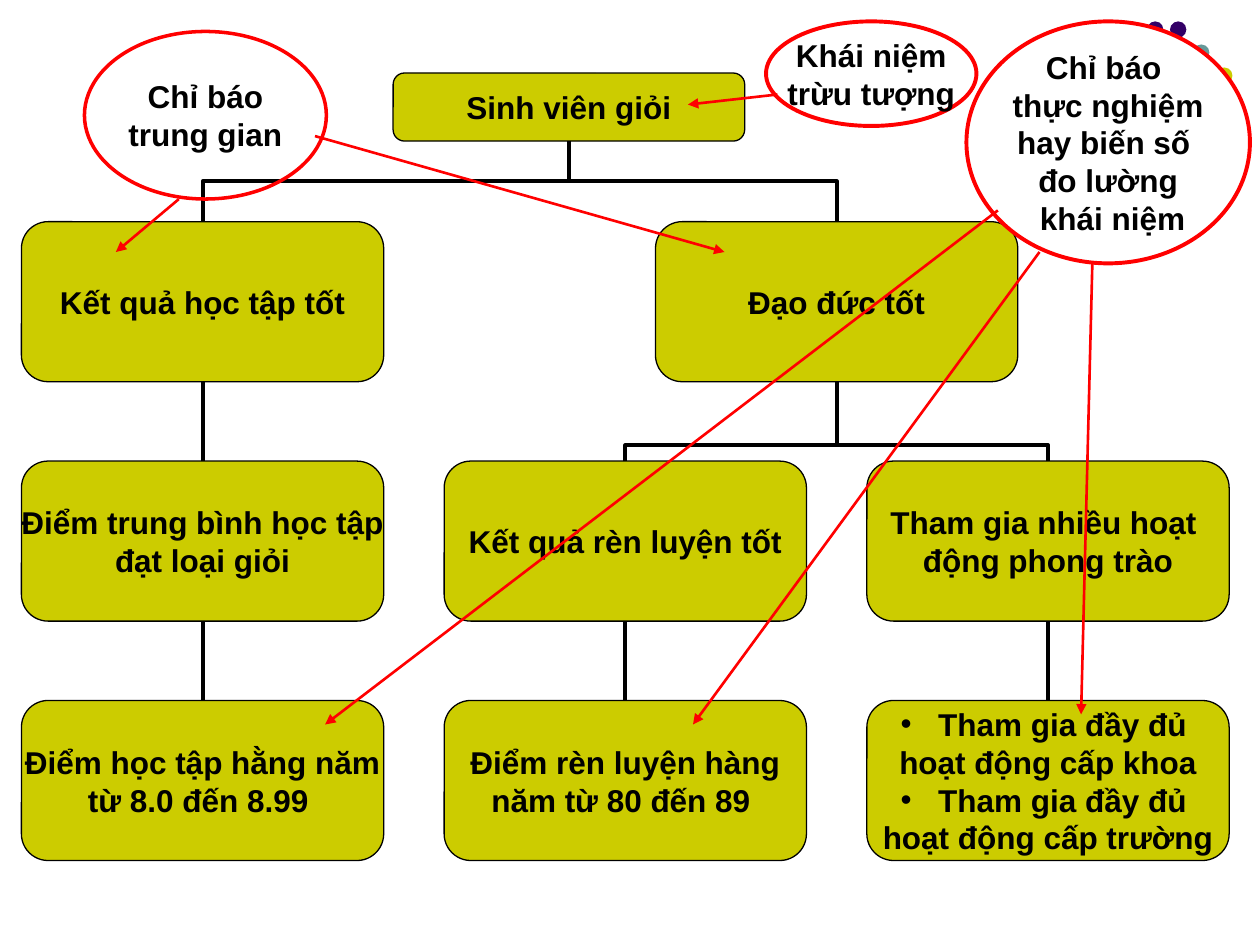
from lxml.etree import SubElement
from pptx import Presentation
from pptx.dml.color import RGBColor
from pptx.enum.shapes import MSO_CONNECTOR, MSO_SHAPE
from pptx.enum.text import MSO_ANCHOR, PP_ALIGN
from pptx.oxml.ns import qn
from pptx.util import Inches, Pt

BLACK = RGBColor(0x00, 0x00, 0x00)
WHITE = RGBColor(0xFF, 0xFF, 0xFF)
RED = RGBColor(0xFF, 0x00, 0x00)
OLIVE = RGBColor(0xCC, 0xCC, 0x00)
PURPLE = RGBColor(0x33, 0x00, 0x66)
TEAL = RGBColor(0x66, 0x99, 0x99)
LAVENDER = RGBColor(0xD8, 0xD8, 0xEC)
FONT = {"name": "Arial", "size": Pt(18), "bold": True}

# Grid of boxes, in inches
LEFT, COLUMN_STEP, BOX_WIDTH = 0.17, 3.355, 2.875
TOP, ROW_STEP, BOX_HEIGHT = 1.76, 1.9, 1.27

presentation = Presentation()
presentation.slide_width, presentation.slide_height = Inches(10), Inches(7.5)
slide = presentation.slides.add_slide(presentation.slide_layouts[6])


def add_text_shape(kind, box, lines, fill, line_color, line_width, insets=(0, 0)):
    """Add a filled or hollow shape with centred lines; a leading • makes a bullet."""
    shape = slide.shapes.add_shape(kind, *map(Inches, box))
    shape.shadow.inherit = False
    if fill is None:
        shape.fill.background()
    else:
        shape.fill.solid()
        shape.fill.fore_color.rgb = fill
    if line_color is None:
        shape.line.fill.background()
    else:
        shape.line.color.rgb = line_color
        shape.line.width = Pt(line_width)
    frame = shape.text_frame
    frame.word_wrap = False
    frame.vertical_anchor = MSO_ANCHOR.MIDDLE
    frame.margin_left = frame.margin_right = Inches(insets[0])
    frame.margin_top = frame.margin_bottom = Inches(insets[1])
    for index, line in enumerate(lines):
        paragraph = frame.paragraphs[0] if index == 0 else frame.add_paragraph()
        paragraph.alignment = PP_ALIGN.CENTER
        if line.startswith("•"):
            properties = paragraph._p.get_or_add_pPr()
            properties.set("marL", str(Inches(0.23)))
            properties.set("indent", str(-Inches(0.23)))
            SubElement(properties, qn("a:buFont")).set("typeface", "Arial")
            SubElement(properties, qn("a:buChar")).set("char", "•")
        run = paragraph.add_run()
        run.text = line.removeprefix("•")
        for name, value in FONT.items():
            setattr(run.font, name, value)
        run.font.color.rgb = BLACK
    return shape


def add_line(kind, start, end, color, width):
    """Add a connector without a shadow."""
    connector = slide.shapes.add_connector(kind, *map(Inches, (*start, *end)))
    connector.line.color.rgb = color
    connector.line.width = Pt(width)
    SubElement(connector._element.spPr, qn("a:effectLst"))
    return connector


# Corner decoration: rule and dot pattern
add_line(MSO_CONNECTOR.STRAIGHT, (8.71, 0.17), (8.71, 1.83), BLACK, 0.75)
DOT_COLORS = {"P": PURPLE, "T": TEAL, "O": OLIVE, "L": LAVENDER}
DOT_ROWS = ["PPP", "PPPT", "PPTTO", "PTTO", "TTOOL", "TOOL", "OOLL", " L L"]
for row, pattern in enumerate(DOT_ROWS):
    for column, code in enumerate(pattern):
        if code in DOT_COLORS:
            dot = (8.92 + 0.183 * column, 0.17 + 0.183 * row, 0.13, 0.13)
            add_text_shape(MSO_SHAPE.OVAL, dot, [], DOT_COLORS[code], None, 0)

# Concept boxes: column and row on the grid, lines
BOXES = {
    "study": (0, 0, ["Kết quả học tập tốt"]),
    "average": (0, 1, ["Điểm trung bình học tập", "đạt loại giỏi"]),
    "yearly study": (0, 2, ["Điểm học tập hằng năm", "từ 8.0 đến 8.99 "]),
    "ethics": (1.5, 0, ["Đạo đức tốt"]),
    "training": (1, 1, ["Kết quả rèn luyện tốt"]),
    "activities": (2, 1, ["Tham gia nhiều hoạt ", "động phong trào"]),
    "yearly training": (1, 2, ["Điểm rèn luyện hàng", "năm từ 80 đến 89 "]),
    "participation": (2, 2, ["• Tham gia đầy đủ ", "hoạt động cấp khoa",
                             "• Tham gia đầy đủ ", "hoạt động cấp trường"]),
}
boxes = {"student": add_text_shape(MSO_SHAPE.ROUNDED_RECTANGLE, (3.12, 0.58, 2.79, 0.54),
                                   ["Sinh viên giỏi"], OLIVE, BLACK, 0.75)}
for name, (column, row, lines) in BOXES.items():
    place = (LEFT + COLUMN_STEP * column, TOP + ROW_STEP * row, BOX_WIDTH, BOX_HEIGHT)
    boxes[name] = add_text_shape(MSO_SHAPE.ROUNDED_RECTANGLE, place, lines, OLIVE, BLACK, 0.75)

# Tree lines: child, parent, share of the drop where an elbow bends
BRANCHES = [
    ("participation", "activities", None),
    ("yearly training", "training", None),
    ("activities", "ethics", 0.2),
    ("training", "ethics", 0.2),
    ("ethics", "student", 0.5),
    ("yearly study", "average", None),
    ("average", "study", None),
    ("study", "student", 0.5),
]
for child_name, parent_name, bend in BRANCHES:
    child, parent = boxes[child_name], boxes[parent_name]
    kind = MSO_CONNECTOR.STRAIGHT if bend is None else MSO_CONNECTOR.ELBOW
    branch = add_line(kind, (0, 0), (1, 1), BLACK, 2.25)
    branch.begin_connect(child, 0)
    branch.end_connect(parent, 2)
    if bend is None:
        continue
    # An upright elbow is a sideways one turned by a quarter
    run_x, drop = branch.end_x - branch.begin_x, branch.begin_y - branch.end_y
    center_x = (branch.begin_x + branch.end_x) // 2
    center_y = (branch.begin_y + branch.end_y) // 2
    branch.left, branch.top = center_x - drop // 2, center_y - abs(run_x) // 2
    branch.width, branch.height = drop, abs(run_x)
    transform = branch._element.spPr.find(qn("a:xfrm"))
    transform.set("rot", str(90 * 60000 if run_x > 0 else 270 * 60000))
    transform.set("flipH", "1" if run_x > 0 else "0")
    transform.set("flipV", "1")
    geometry = branch._element.spPr.find(qn("a:prstGeom"))
    guide = SubElement(geometry.find(qn("a:avLst")), qn("a:gd"))
    guide.set("name", "adj1")
    guide.set("fmla", f"val {round(bend * 100000)}")

# Callouts: place, lines, fill, line width, arrows
CALLOUTS = [
    ((6.08, 0.17, 1.67, 0.83), ["Khái niệm", "trừu tượng"], WHITE, 2.25,
     [((6.17, 0.75), (5.46, 0.83))]),
    ((7.67, 0.17, 2.25, 1.92),
     ["Chỉ báo ", "thực nghiệm", "hay biến số ", "đo lường", " khái niệm"], WHITE, 2.25,
     [((8.67, 2.08), (8.58, 5.67)), ((8.25, 2), (5.5, 5.75)), ((7.92, 1.67), (2.58, 5.75))]),
    ((0.67, 0.25, 1.92, 1.33), ["Chỉ báo", "trung gian"], None, 2,
     [((1.42, 1.58), (0.92, 2)), ((2.5, 1.08), (5.75, 2))]),
]
for place, lines, fill, width, arrows in CALLOUTS:
    add_text_shape(MSO_SHAPE.OVAL, place, lines, fill, RED, width, (0.1, 0.05))
    for start, end in arrows:
        arrow = add_line(MSO_CONNECTOR.STRAIGHT, start, end, RED, 1.5)
        SubElement(arrow.line._get_or_add_ln(), qn("a:tailEnd")).set("type", "triangle")

presentation.save("out.pptx")
